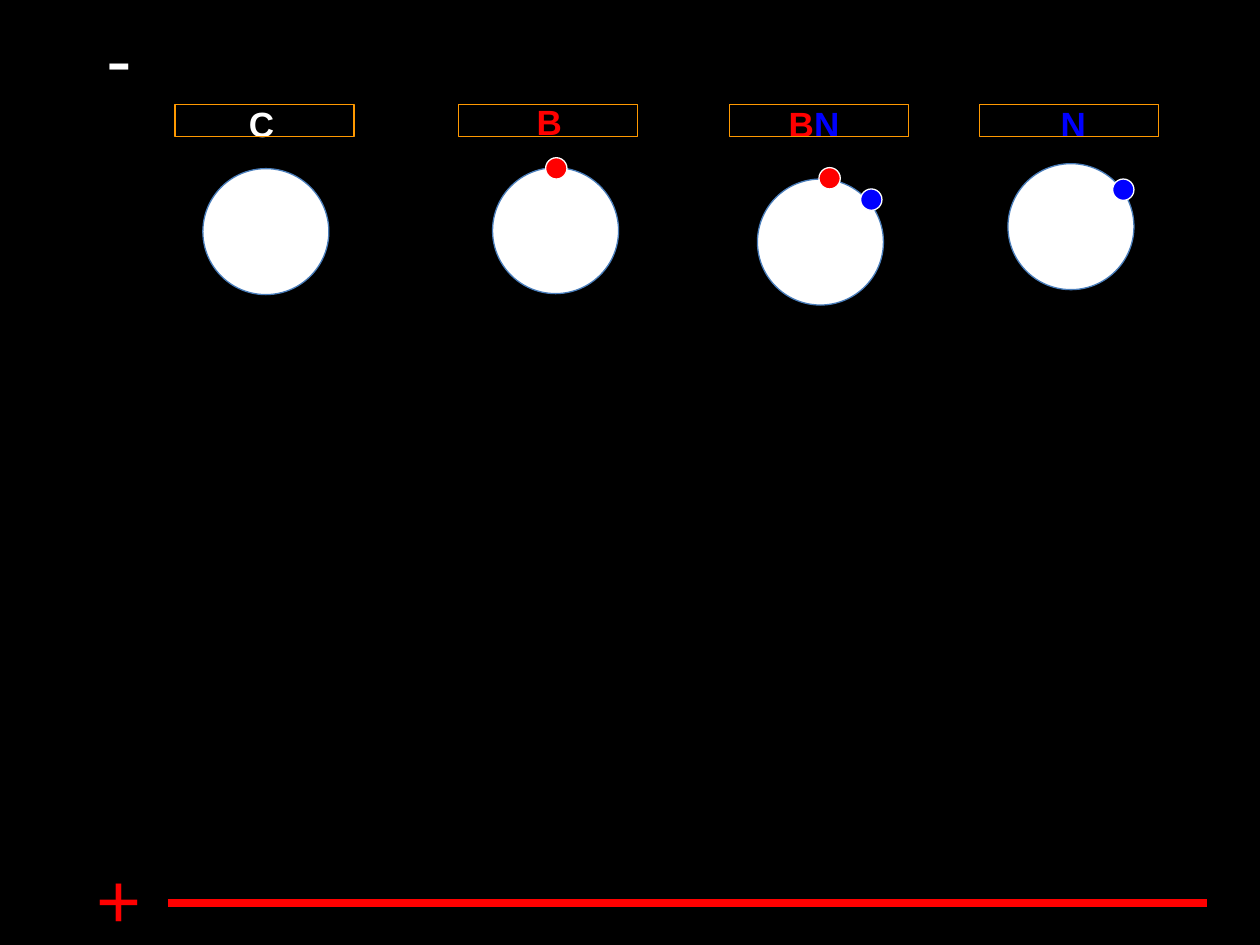
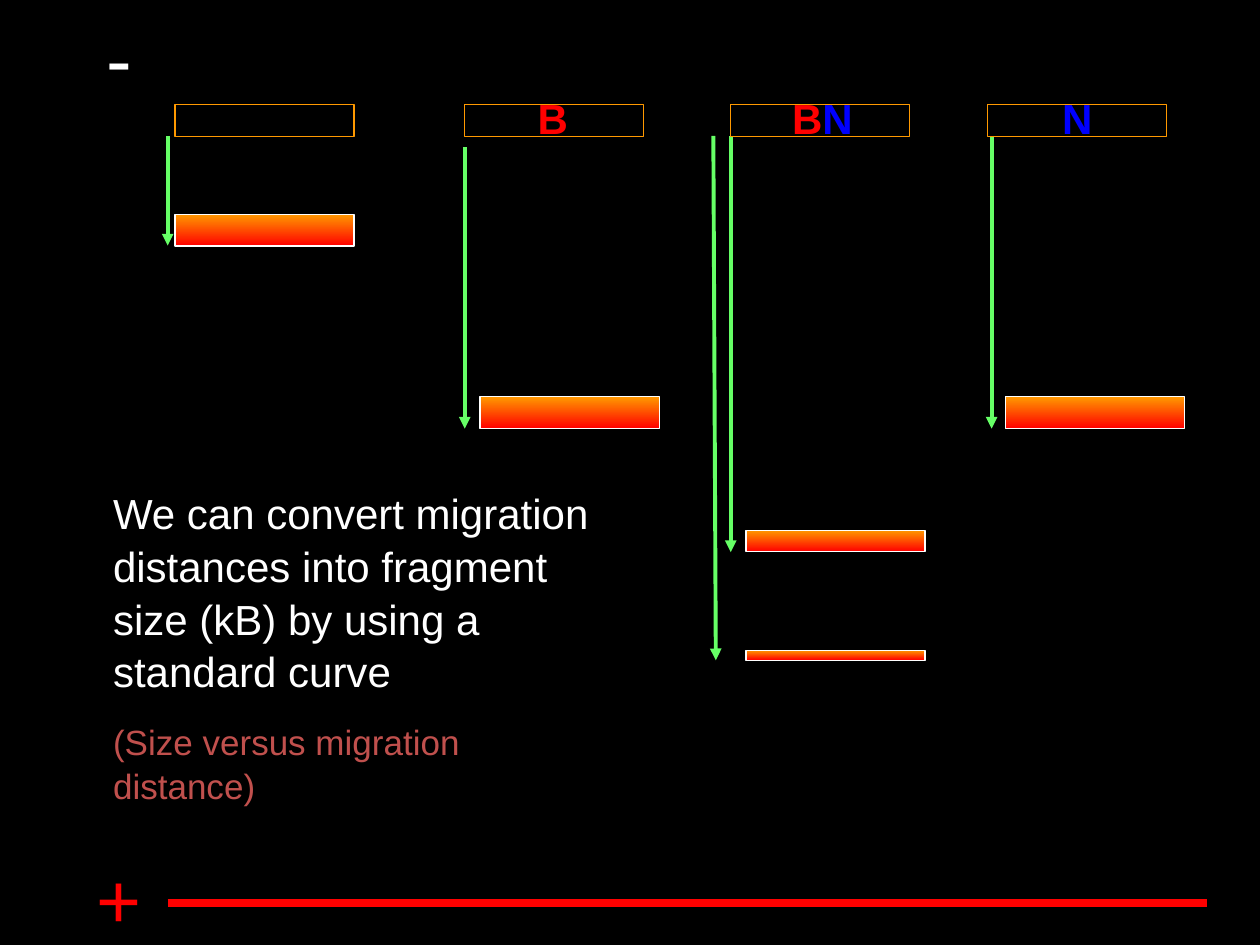
"""Build two slides on DNA digests run through an electrophoresis gel."""
from lxml import etree
from pptx import Presentation
from pptx import util as u
from pptx.dml.color import RGBColor
from pptx.enum import shapes, text
from pptx.oxml.ns import qn

BLACK = RGBColor(0x00, 0x00, 0x00)
WHITE = RGBColor(0xFF, 0xFF, 0xFF)
RED = RGBColor(0xFF, 0x00, 0x00)
BLUE = RGBColor(0x00, 0x00, 0xFF)
ORANGE = RGBColor(0xFF, 0x99, 0x00)
GREEN = RGBColor(0x66, 0xFF, 0x66)
STEEL = RGBColor(0x4A, 0x7E, 0xBB)
BRICK = RGBColor(0xC0, 0x50, 0x4D)

LANE, DEEP = 3.61, 0.64
RING, DOT = 2.54, 0.43
RECT = shapes.MSO_SHAPE.RECTANGLE
OVAL = shapes.MSO_SHAPE.OVAL


def write(slide, place, paras, align=text.PP_ALIGN.LEFT, bold=False):
    """Add a text box; each paragraph is a size and a list of (words, colour)."""
    frame = slide.shapes.add_textbox(*map(u.Cm, place)).text_frame
    frame.word_wrap = True
    for i, (size, runs) in enumerate(paras):
        para = frame.add_paragraph() if i else frame.paragraphs[0]
        look = {"alignment": align, "line_spacing": 1.05}
        if i:
            look["space_before"] = u.Pt(12.5)
        for key, val in look.items():
            setattr(para, key, val)
        for words, tint in runs:
            run = para.add_run()
            run.text = words
            for key, val in {"name": "Arial", "size": u.Pt(size), "bold": bold}.items():
                setattr(run.font, key, val)
            run.font.color.rgb = tint


def draw(slide, kind, place, edge, fill=None):
    """Add a thin-edged shape with no fill, a plain fill or a gradient pair."""
    shape = slide.shapes.add_shape(kind, *map(u.Cm, place))
    shape.shadow.inherit = False
    shape.line.color.rgb = edge
    shape.line.width = u.Pt(0.75)
    if fill is None:
        shape.fill.background()
    elif isinstance(fill, RGBColor):
        shape.fill.solid()
        shape.fill.fore_color.rgb = fill
    else:
        shape.fill.gradient()
        shape.fill.gradient_angle = 270
        for stop, tint in zip(shape.fill.gradient_stops, fill):
            stop.color.rgb = tint


deck = Presentation()
deck.slide_width, deck.slide_height = u.Cm(25.4), u.Cm(19.05)
cuts, gel = [deck.slides.add_slide(deck.slide_layouts[6]) for _ in range(2)]

rail = (3.38, 18.21, 24.33, 18.21, RED, 4.5, False)
runs = [
    (3.38, 2.74, 3.38, 4.95),
    (9.37, 2.97, 9.37, 8.64),
    (14.73, 2.74, 14.73, 11.13),
    (14.38, 2.74, 14.43, 13.31),
    (19.99, 2.74, 19.99, 8.64),
]
arrows = [(*ends, GREEN, 2.25, True) for ends in runs]

for slide, lines in ((cuts, [rail]), (gel, [rail] + arrows)):
    slide.background.fill.solid()
    slide.background.fill.fore_color.rgb = BLACK
    for sign, tint, left, top in (("+", RED, 1.7, 16.94), ("-", WHITE, 1.9, 0)):
        write(slide, (left, top, 2.74, 2.13), [(44, [(sign, tint)])])
    for x1, y1, x2, y2, tint, width, head in lines:
        line = slide.shapes.add_connector(
            shapes.MSO_CONNECTOR.STRAIGHT, *map(u.Cm, (x1, y1, x2, y2)))
        line.line.color.rgb = tint
        line.line.width = u.Pt(width)
        if head:
            tip = etree.SubElement(line.line._get_or_add_ln(), qn("a:tailEnd"))
            tip.set("type", "triangle")
        etree.SubElement(line._element.spPr, qn("a:effectLst"))

c, b, n = ("C", WHITE), ("B", RED), ("N", BLUE)
left, mid = text.PP_ALIGN.LEFT, text.PP_ALIGN.CENTER
tags = [
    (cuts, 4.22, 1.9, 20, [c], mid),
    (cuts, 10.57, 1.85, 20, [b], left),
    (cuts, 15.65, 1.9, 20, [b, n], left),
    (cuts, 21.13, 1.9, 20, [n], left),
    (gel, 10.59, 1.7, 24, [b], left),
    (gel, 15.72, 1.7, 24, [b, n], left),
    (gel, 21.16, 1.7, 24, [n], left),
]
for slide, x, y, size, marks, align in tags:
    write(slide, (x, y, 2.11, 1.2), [(size, marks)], align, True)

for x, y in ((4.09, 3.4), (9.93, 3.38), (15.27, 3.61), (20.32, 3.3)):
    draw(cuts, OVAL, (x, y, RING, RING), STEEL, WHITE)
sites = [(11, 3.18, RED), (16.51, 3.38, RED), (17.35, 3.81, BLUE), (22.43, 3.61, BLUE)]
for x, y, tint in sites:
    draw(cuts, OVAL, (x, y, DOT, DOT), WHITE, tint)

bands = [
    (3.53, 4.32, DEEP),
    (9.68, 8, DEEP),
    (20.27, 8, DEEP),
    (15.04, 10.69, 0.43),
    (15.04, 13.11, 0.2),
]
for x, y, high in bands:
    draw(gel, RECT, (x, y, LANE, high), WHITE, (ORANGE, RED))

for slide, wells in ((cuts, (3.53, 9.25, 14.71, 19.74)), (gel, (3.53, 9.37, 14.73, 19.91))):
    for x in wells:
        draw(slide, RECT, (x, 2.11, LANE, DEEP), ORANGE)

write(gel, (2.03, 9.65, 10.36, 6.45), [
    (24, [("We can convert migration distances into fragment size (kB) "
           "by using a standard curve", WHITE)]),
    (20, [("(Size versus migration distance)", BRICK)]),
])

deck.save("out.pptx")
